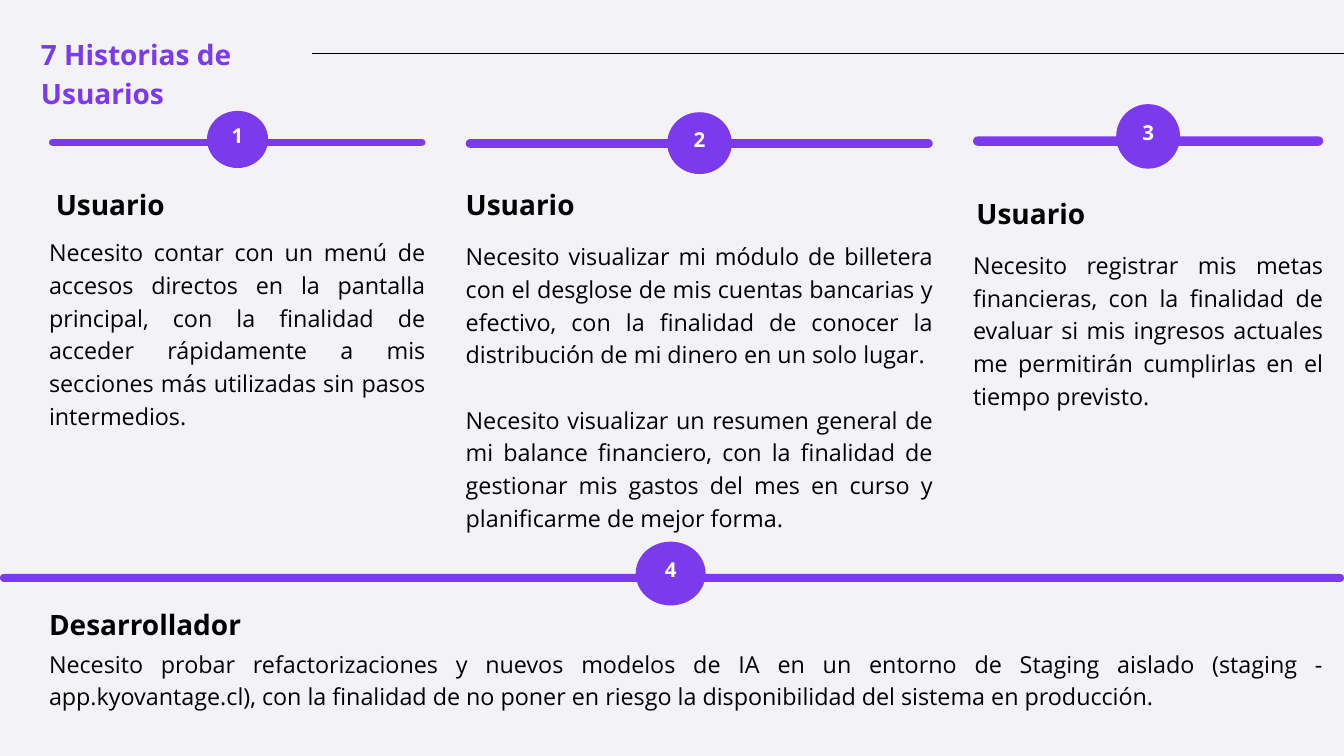
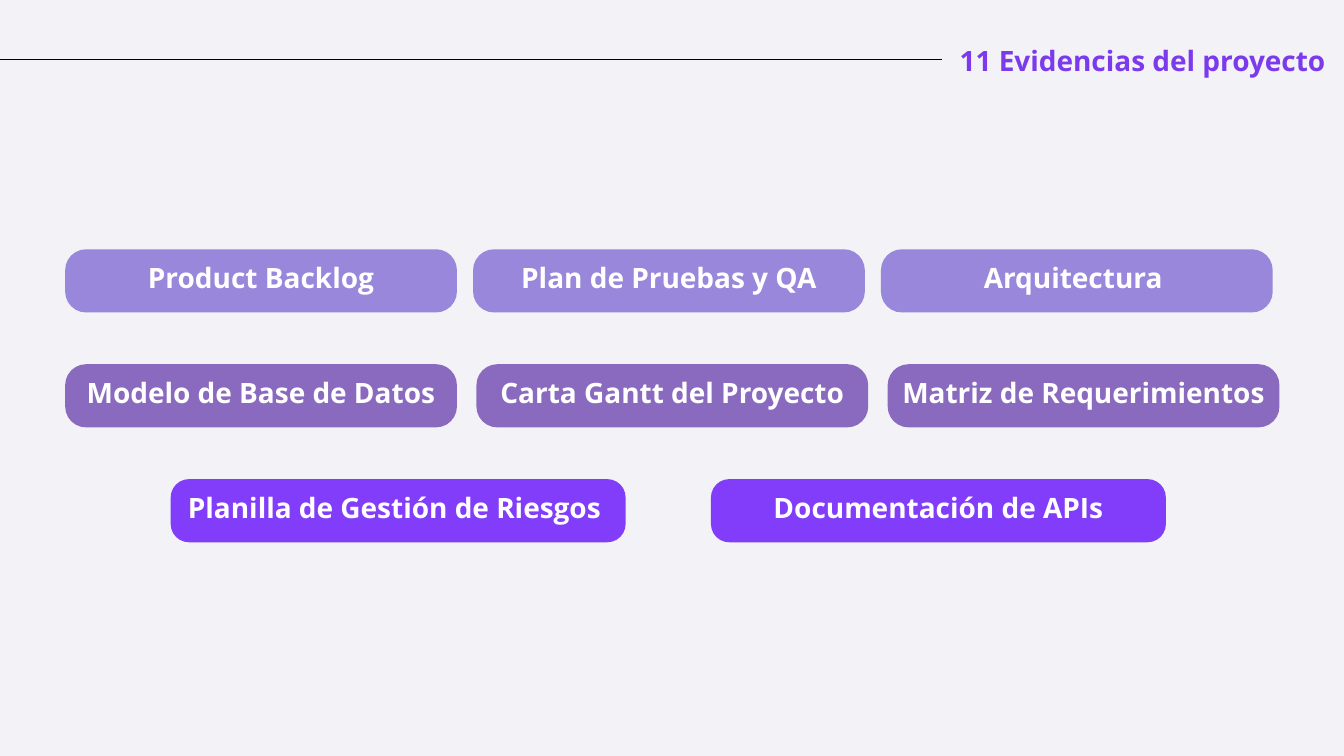
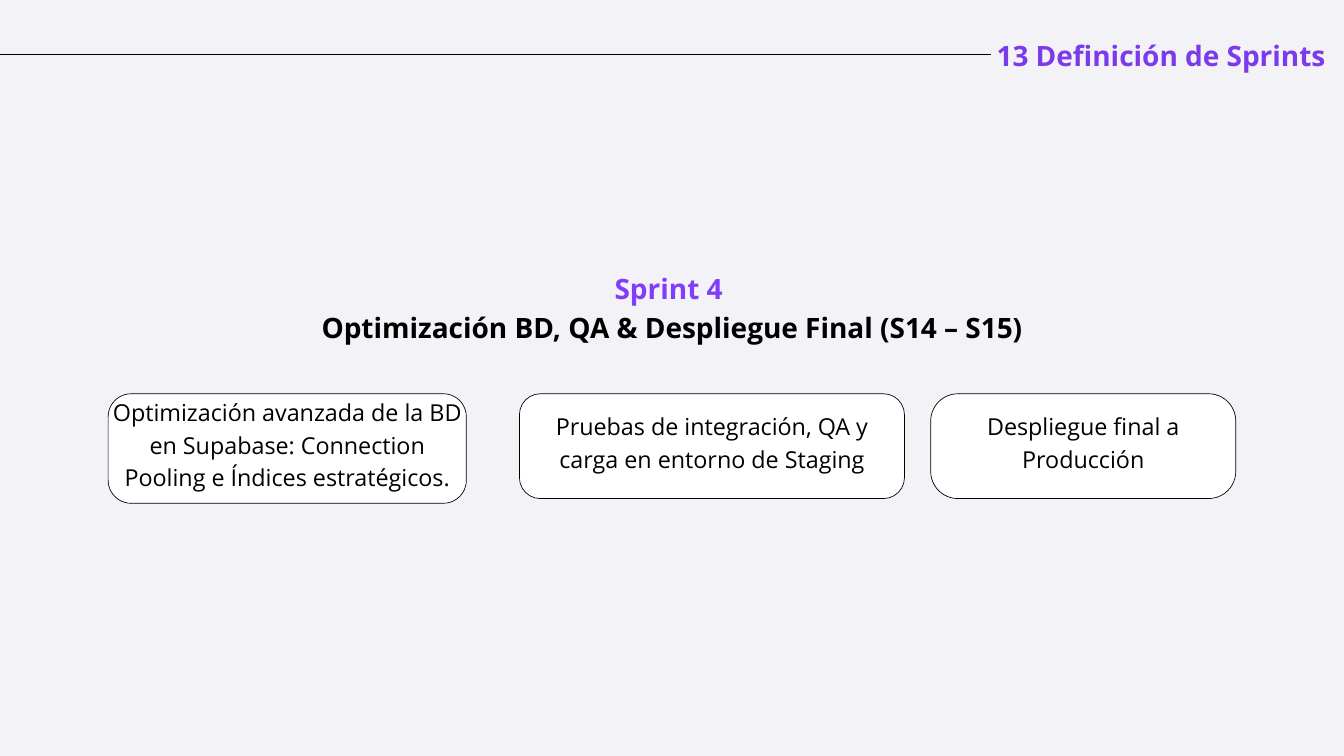
from dataclasses import dataclass

from lxml import etree
from pptx import Presentation
from pptx import util as u
from pptx.dml.color import RGBColor
from pptx.enum import shapes, text
from pptx.oxml import ns


@dataclass(frozen=True)
class Theme:
    font: str = "Open Sans"
    background: str = "F2F2F7"
    accent: str = "7C3AED"
    vivid: str = "813DF9"
    lilac: str = "9887DA"
    plum: str = "8A6ABE"
    ink: str = "000000"
    white: str = "FFFFFF"
    heading_size: int = 30
    body_size: int = 25
    badge_size: int = 22
    leading: float = 1.4
    label_rise: float = 0.09
    label_inset: float = 0.06


ALIGN = text.PP_ALIGN
TOP, MIDDLE = text.MSO_ANCHOR.TOP, text.MSO_ANCHOR.MIDDLE
ROUNDED, OVAL = shapes.MSO_SHAPE.ROUNDED_RECTANGLE, shapes.MSO_SHAPE.OVAL


def apply(target, values):
    for name, value in values.items():
        setattr(target, name, value)


def inches(*lengths):
    return [u.Inches(length) for length in lengths]


class Composer:
    def __init__(self, theme):
        self.theme = theme
        self.deck = Presentation()
        apply(self.deck, {"slide_width": u.Inches(20), "slide_height": u.Inches(11.25)})
        self.paint(self.deck.slide_master.background, theme.background)
        self.page = None

    def paint(self, target, colour):
        target.fill.solid()
        target.fill.fore_color.rgb = RGBColor.from_string(colour)

    def fill_text(self, box, lines, size, colour, bold=False, align=ALIGN.LEFT,
                  anchor=TOP, inset=0, wrap=True, gap=0):
        frame = box.text_frame
        sides = ("margin_left", "margin_top", "margin_right", "margin_bottom")
        apply(frame, {side: u.Inches(inset) for side in sides})
        apply(frame, {"word_wrap": wrap, "vertical_anchor": anchor,
                      "auto_size": text.MSO_AUTO_SIZE.NONE})
        for index, line in enumerate(lines):
            content, shade = line if isinstance(line, tuple) else (line, colour)
            para = frame.add_paragraph() if index else frame.paragraphs[0]
            apply(para, {"alignment": align, "space_before": u.Pt(gap if index else 0),
                         "line_spacing": u.Pt(size * self.theme.leading)})
            span = para.add_run()
            span.text = content
            apply(span.font, {"name": self.theme.font, "size": u.Pt(size), "bold": bold})
            span.font.color.rgb = RGBColor.from_string(shade)

    def slide(self, title, place, rule):
        self.page = self.deck.slides.add_slide(self.deck.slide_layouts[5])
        heading = self.page.shapes.title
        apply(heading, dict(zip(("left", "top", "width", "height"), inches(*place))))
        self.fill_text(heading, [title], self.theme.heading_size, self.theme.accent, bold=True)
        start, end, height = rule
        line = self.page.shapes.add_connector(
            shapes.MSO_CONNECTOR.STRAIGHT, *inches(start, height, end, height))
        line.line.width = u.Pt(1.5)
        line.line.color.rgb = RGBColor.from_string(self.theme.ink)
        etree.SubElement(line.element.spPr, ns.qn("a:effectLst"))

    def group(self):
        return self.page.shapes.add_group_shape()

    def textbox(self, place, lines, size, colour, parent=None, **style):
        box = (parent or self.page).shapes.add_textbox(*inches(*place))
        self.fill_text(box, lines, size, colour, **style)

    def heading(self, place, content):
        self.textbox(place, [content], self.theme.heading_size, self.theme.ink,
                     bold=True, wrap=False)

    def body(self, place, lines):
        self.textbox(place, lines, self.theme.body_size, self.theme.ink,
                     align=ALIGN.JUSTIFY, gap=self.theme.body_size * self.theme.leading)

    def shape(self, parent, kind, place, fill, corner=None, outline=None):
        figure = parent.shapes.add_shape(kind, *inches(*place))
        figure.shadow.inherit = False
        self.paint(figure, fill)
        if corner is not None:
            figure.adjustments[0] = corner
        if outline:
            figure.line.width = u.Pt(0.75)
            figure.line.color.rgb = RGBColor.from_string(outline)
        else:
            figure.line.fill.background()

    def label(self, parent, place, content, size, colour, bold):
        left, top, width, height = place
        self.textbox((left, top - self.theme.label_rise, width, height), [content],
                     size, colour, parent, bold=bold, align=ALIGN.CENTER,
                     anchor=MIDDLE, inset=self.theme.label_inset)

    def numbered_bar(self, number, bar, badge):
        group, theme = self.group(), self.theme
        self.shape(group, ROUNDED, bar, theme.accent, corner=0.5)
        self.shape(group, OVAL, badge, theme.accent)
        self.label(group, badge, str(number), theme.badge_size, theme.white, True)

    def pill(self, place, content, fill, corner):
        group, theme = self.group(), self.theme
        self.shape(group, ROUNDED, place, fill, corner)
        self.label(group, place, content, theme.heading_size, theme.white, True)

    def card(self, place, content, corner):
        group, theme = self.group(), self.theme
        self.shape(group, ROUNDED, place, theme.white, corner, theme.ink)
        self.label(group, place, content, theme.body_size, theme.ink, False)


def user_stories(composer):
    composer.slide("7 Historias de Usuarios", (0.61, 0.47, 3.89, 1.15), (4.65, 20, 0.8))
    stories = [
        ((0.73, 2.07, 5.6, 0.1), (3.08, 1.65, 0.91, 0.85),
         "Usuario", (0.83, 2.71, 1.62, 0.56), (0.73, 3.48, 5.6, 2.86),
         ["Necesito contar con un menú de accesos directos en la pantalla principal, "
          "con la finalidad de acceder rápidamente a mis secciones más utilizadas "
          "sin pasos intermedios."]),
        ((6.93, 2.07, 6.95, 0.13), (9.93, 1.67, 0.96, 0.92),
         "Usuario", (6.93, 2.71, 1.62, 0.56), (6.93, 3.54, 6.95, 4.3),
         ["Necesito visualizar mi módulo de billetera con el desglose de mis cuentas "
          "bancarias y efectivo, con la finalidad de conocer la distribución de mi "
          "dinero en un solo lugar.",
          "Necesito visualizar un resumen general de mi balance financiero, con la "
          "finalidad de gestionar mis gastos del mes en curso y planificarme de "
          "mejor forma."]),
        ((14.48, 2.03, 5.21, 0.14), (16.61, 1.55, 0.95, 0.96),
         "Usuario", (14.53, 2.84, 1.62, 0.56), (14.48, 3.67, 5.21, 2.38),
         ["Necesito registrar mis metas financieras, con la finalidad de evaluar si "
          "mis ingresos actuales me permitirán cumplirlas en el tiempo previsto."]),
        ((0, 8.54, 20, 0.12), (9.46, 8.06, 1.04, 0.95),
         "Desarrollador", (0.73, 8.95, 2.87, 0.56), (0.73, 9.6, 18.96, 0.94),
         ["Necesito probar refactorizaciones y nuevos modelos de IA en un entorno de "
          "Staging aislado (staging - app.kyovantage.cl), con la finalidad de no poner "
          "en riesgo la disponibilidad del sistema en producción."]),
    ]
    for number, (bar, badge, role, role_place, story_place, story) in enumerate(stories, 1):
        composer.numbered_bar(number, bar, badge)
        composer.heading(role_place, role)
        composer.body(story_place, story)


def project_evidence(composer):
    theme = composer.theme
    composer.slide("11 Evidencias del proyecto", (14.28, 0.56, 5.54, 0.56), (0, 14.02, 0.89))
    rows = [
        (theme.lilac, 0.97, 5.83, 6.07, 0.33,
         ["Product Backlog", "Plan de Pruebas y QA", "Arquitectura "]),
        (theme.plum, 0.97, 5.83, 6.12, 0.33,
         ["Modelo de Base de Datos", "Carta Gantt del Proyecto", "Matriz de Requerimientos"]),
        (theme.vivid, 2.54, 6.77, 8.04, 0.29,
         ["Planilla de Gestión de Riesgos ", "Documentación de APIs"]),
    ]
    for row, (fill, left, width, step, corner, names) in enumerate(rows):
        for column, name in enumerate(names):
            place = (left + column * step, 3.71 + row * 1.71, width, 0.94)
            composer.pill(place, name, fill, corner)


def sprint_definition(composer):
    theme = composer.theme
    composer.slide("13 Definición de Sprints", (14.83, 0.49, 5.07, 0.56), (0, 14.74, 0.81))
    composer.textbox((4.77, 3.96, 10.47, 1.15),
                     [("Sprint 4 ", theme.vivid),
                      "Optimización BD, QA & Despliegue Final (S14 – S15)"],
                     theme.heading_size, theme.ink, bold=True, align=ALIGN.CENTER)
    tasks = [
        (1.61, 5.33, 1.63, 0.21, "Optimización avanzada de la BD en Supabase: "
                                 "Connection Pooling e Índices estratégicos."),
        (7.73, 5.73, 1.56, 0.2, "Pruebas de integración, QA y carga en entorno de Staging"),
        (13.85, 4.54, 1.56, 0.26, "Despliegue final a Producción"),
    ]
    for left, width, height, corner, task in tasks:
        composer.card((left, 5.86, width, height), task, corner)


def main():
    composer = Composer(Theme())
    for build in (user_stories, project_evidence, sprint_definition):
        build(composer)
    composer.deck.save("out.pptx")


if __name__ == "__main__":
    main()
